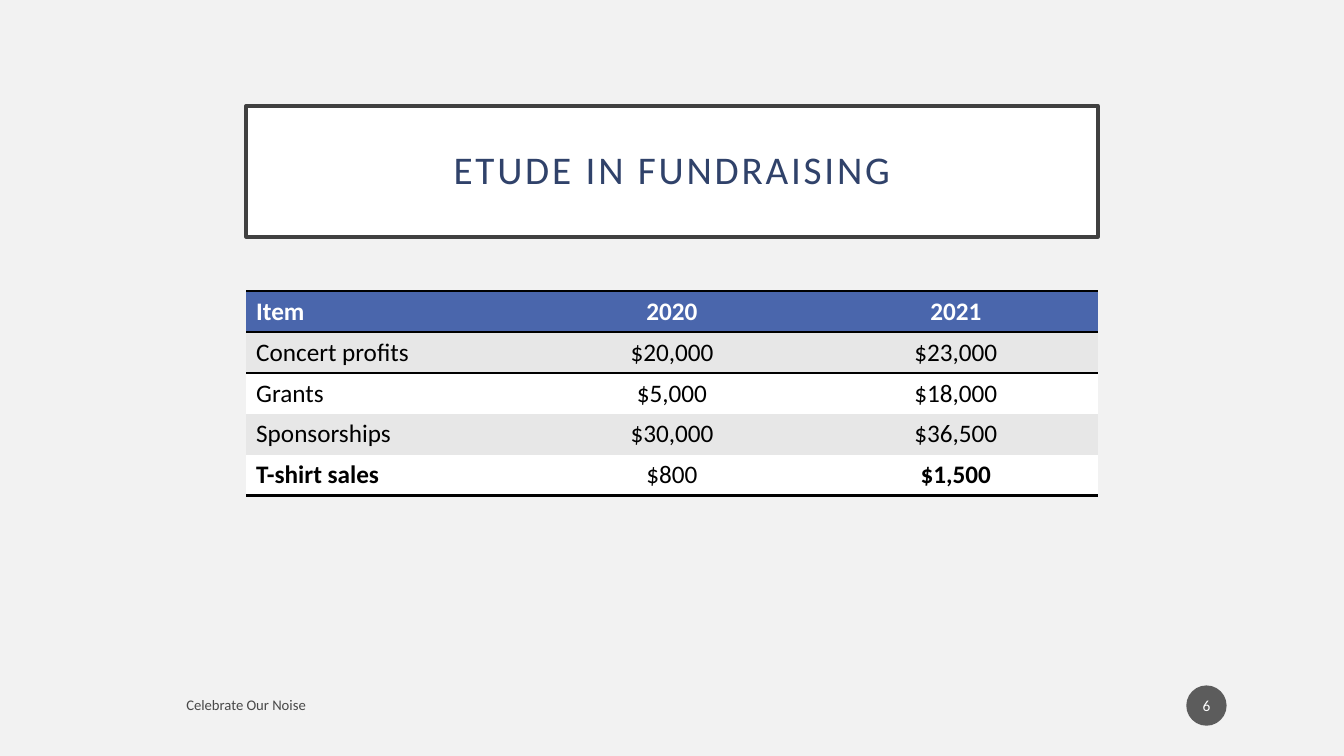
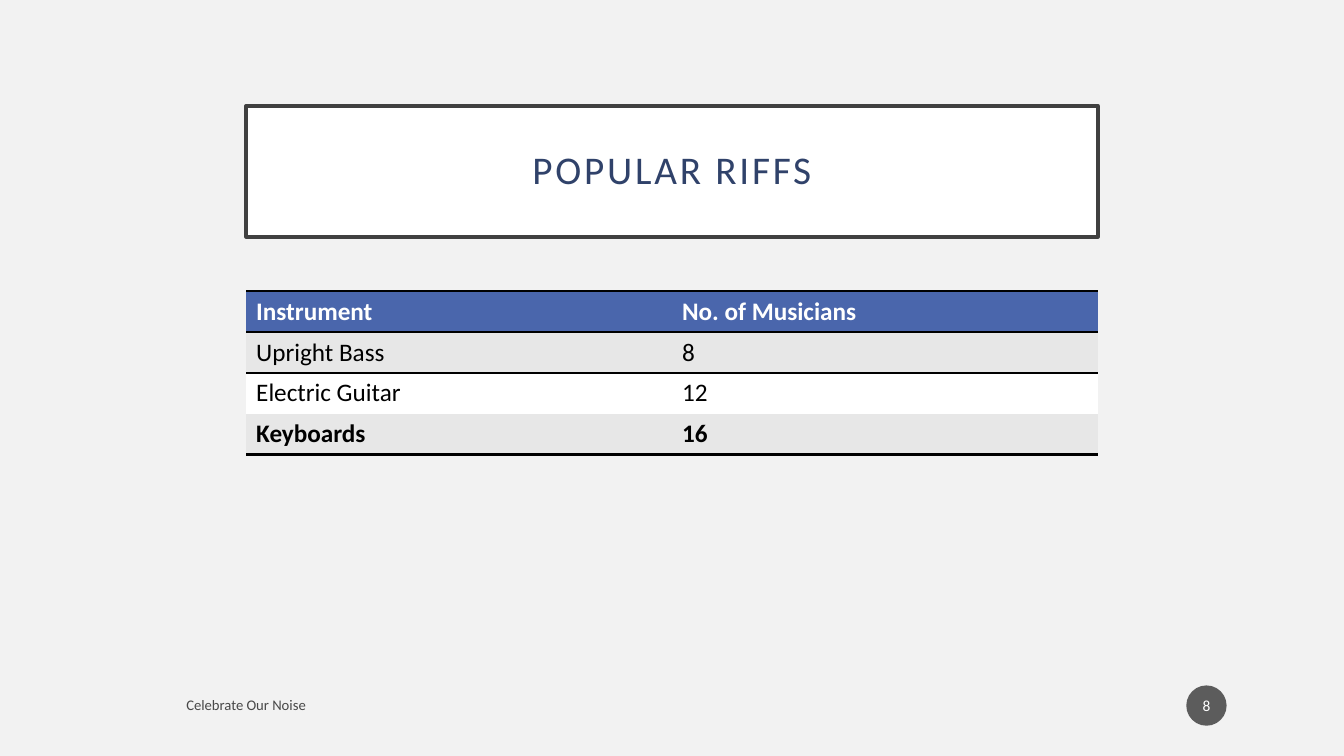
"""Build two table slides that share a boxed title, a footer and a page dot."""
from lxml.etree import SubElement
from pptx import Presentation
from pptx.dml.color import RGBColor as RGB
from pptx.enum.shapes import MSO_SHAPE as Shape
from pptx.enum.text import MSO_ANCHOR as Anchor, PP_ALIGN as Align
from pptx.oxml import parse_xml
from pptx.oxml.ns import nsdecls, qn
from pptx.util import Pt

HUE = {
    "back": "F2F2F2", "white": "FFFFFF", "black": "000000",
    "frame": "404040", "title": "30426A", "head": "4A66AC",
    "band": "E7E7E7", "dot": "1D1D1D",
}
FONT = "Calibri"
WIDE, HIGH = 960, 540
SPAN = 608.4
LEFT = (WIDE - SPAN) / 2
ROW = 29.16
PLAIN = "{2D5ABB26-0587-4C30-8999-92F81FD0307C}"

PAGES = [
    {
        "title": "ETUDE IN FUNDRAISING", "page": "6", "align": Align.CENTER,
        "bold": {"T-shirt sales", "$1,500"},
        "rows": [
            ("Item", "2020", "2021"),
            ("Concert profits", "$20,000", "$23,000"),
            ("Grants", "$5,000", "$18,000"),
            ("Sponsorships", "$30,000", "$36,500"),
            ("T-shirt sales", "$800", "$1,500"),
        ],
    },
    {
        "title": "POPULAR RIFFS", "page": "8", "align": Align.LEFT,
        "bold": {"Keyboards", "16"},
        "rows": [
            ("Instrument", "No. of Musicians"),
            ("Upright Bass", "8"),
            ("Electric Guitar", "12"),
            ("Keyboards", "16"),
        ],
    },
]


def write(frame, text, size, hue, align=Align.LEFT, bold=False):
    frame.text = text
    para = frame.paragraphs[0]
    para.alignment = align
    run = para.runs[0]
    run.font.name, run.font.size, run.font.bold = FONT, Pt(size), bold
    run.font.color.rgb = RGB.from_string(HUE[hue])
    return para


def fade(node):
    for tint in node.iter(qn("a:srgbClr")):
        SubElement(tint, qn("a:alpha")).set("val", "70000")


deck = Presentation()
deck.slide_width, deck.slide_height = Pt(WIDE), Pt(HIGH)
back = deck.slide_master.background.fill
back.solid()
back.fore_color.rgb = RGB.from_string(HUE["back"])

for page in PAGES:
    slide = deck.slides.add_slide(deck.slide_layouts[6])
    shapes = slide.shapes

    box = shapes.add_shape(Shape.RECTANGLE, Pt(LEFT), Pt(75.6), Pt(SPAN), Pt(93.6))
    box.shadow.inherit = False
    box.fill.solid()
    box.fill.fore_color.rgb = RGB.from_string(HUE["white"])
    box.line.color.rgb = RGB.from_string(HUE["frame"])
    box.line.width = Pt(2.5)
    frame = box.text_frame
    frame.vertical_anchor = Anchor.MIDDLE
    frame.margin_left = frame.margin_right = Pt(14.4)
    frame.margin_top = frame.margin_bottom = Pt(14.4)
    para = write(frame, page["title"], 28, "title", Align.CENTER)
    para.line_spacing = 0.9
    para.runs[0]._r.get_or_add_rPr().set("spc", "200")

    rows = page["rows"]
    last, cols = len(rows) - 1, len(rows[0])
    table = shapes.add_table(
        len(rows), cols, Pt(LEFT), Pt(208), Pt(SPAN), Pt(ROW * len(rows))
    ).table
    table._tbl.tblPr.find(qn("a:tableStyleId")).text = PLAIN
    for col in table.columns:
        col.width = Pt(SPAN / cols)
    for r, row in enumerate(rows):
        table.rows[r].height = Pt(ROW)
        fill = "head" if r == 0 else "band" if r % 2 else "white"
        edges = [("lnT", r in (0, 1)), ("lnB", r in (0, last))]
        for c, text in enumerate(row):
            cell = table.cell(r, c)
            write(
                cell.text_frame, text, 18, "black" if r else "white",
                page["align"] if c else Align.LEFT,
                r == 0 or text in page["bold"],
            )
            cell.fill.solid()
            cell.fill.fore_color.rgb = RGB.from_string(HUE[fill])
            lines = [
                parse_xml(
                    f'<a:{tag} {nsdecls("a")} w="{Pt(2)}"><a:solidFill>'
                    f'<a:srgbClr val="{HUE["black"]}"/></a:solidFill></a:{tag}>'
                )
                for tag, shown in edges if shown
            ]
            cell._tc.get_or_add_tcPr()[0:0] = lines

    foot = shapes.add_textbox(Pt(126), Pt(491), Pt(464.4), Pt(25.2))
    foot.text_frame.word_wrap = True
    foot.text_frame.vertical_anchor = Anchor.MIDDLE
    write(foot.text_frame, "Celebrate Our Noise", 10.5, "black")
    fade(foot._element)

    dot = shapes.add_shape(Shape.OVAL, Pt(847.4), Pt(489.6), Pt(28.8), Pt(28.8))
    dot.shadow.inherit = False
    dot.fill.solid()
    dot.fill.fore_color.rgb = RGB.from_string(HUE["dot"])
    dot.line.fill.background()
    fade(dot._element)
    frame = dot.text_frame
    frame.vertical_anchor = Anchor.MIDDLE
    frame.margin_left = frame.margin_right = Pt(1.44)
    write(frame, page["page"], 11, "white", Align.CENTER)

deck.save("out.pptx")
